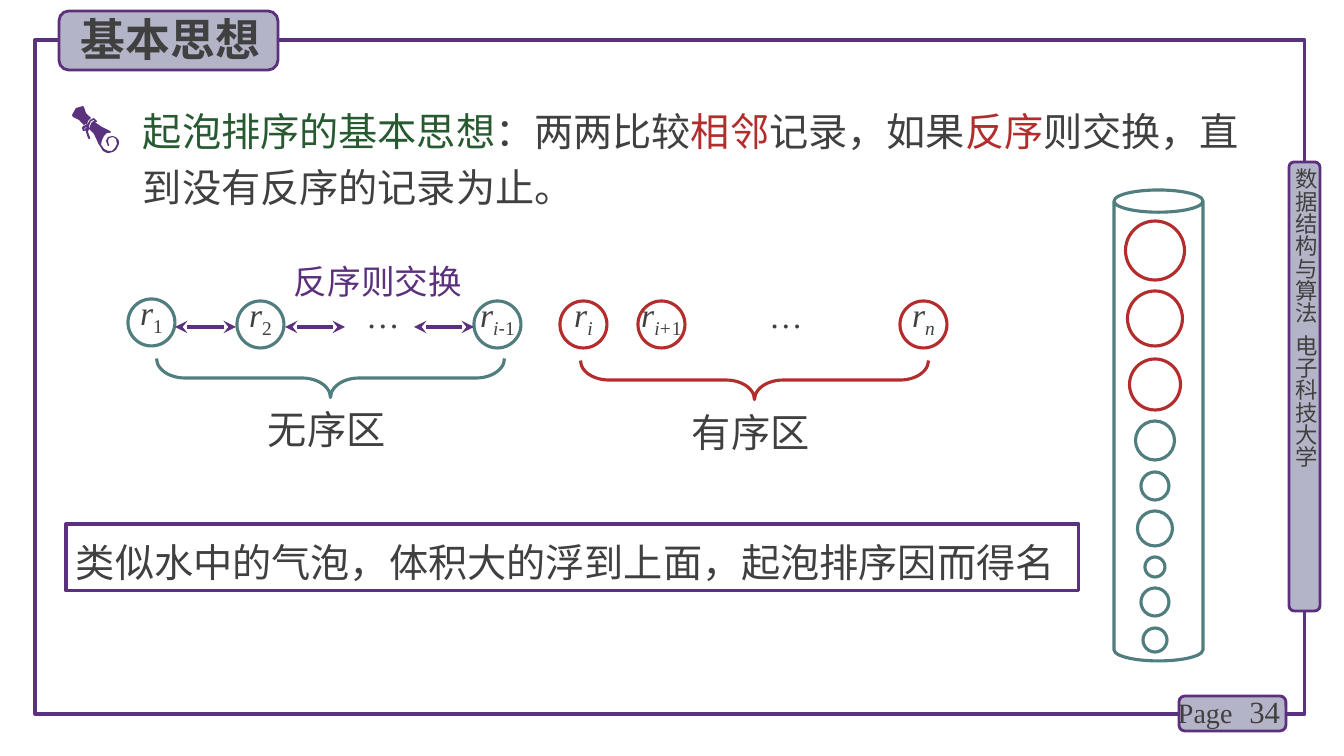
from lxml.etree import SubElement
from pptx import Presentation
from pptx.dml.color import RGBColor
from pptx.enum.shapes import MSO_CONNECTOR, MSO_SHAPE
from pptx.enum.text import MSO_ANCHOR, PP_ALIGN
from pptx.oxml.ns import qn
from pptx.util import Pt

# Content: a run is (text, options)
PURPLE, VIOLET, TEAL, RED = "5C307D", "5A327D", "507D7D", "B42D2D"
GREEN, INK, LILAC = "285A32", "404040", "B4B4C8"
SANS, SERIF = "Noto Sans CJK SC", "Times New Roman"
ITALIC, SUB = {"italic": True}, {"sub": True}
ITALIC_SUB, TIGHT = {**ITALIC, **SUB}, {**ITALIC, "spacing": -70}

LEAD = [("起泡排序的基本思想", {"color": GREEN}), ("：两两比较", {"color": INK}),
        ("相邻", {"color": RED}), ("记录，如果", {"color": INK}),
        ("反序", {"color": RED}), ("则交换，直到没有反序的记录为止。", {"color": INK})]
COURSE = [("数据结构与算法", {}), (" ", {"spacing": 360}), ("电子科技大学", {})]
BANNER = "类似水中的气泡，体积大的浮到上面，起泡排序因而得名"

# Left, top, colour, side inset, runs
RECORDS = [
    (128, 299, TEAL, 10, [("r", ITALIC), ("1", SUB)]),
    (237, 301, TEAL, 10, [("r", ITALIC), ("2", SUB)]),
    (474, 301, TEAL, 0, [("r", TIGHT), ("i", {**TIGHT, **SUB}),
                         ("-", {"sub": True, "name": "Arial", "spacing": -70}),
                         ("1", {"sub": True, "spacing": -70})]),
    (560, 301, RED, 10, [("r", ITALIC), ("i", ITALIC_SUB)]),
    (638, 301, RED, 10, [("r", TIGHT), ("i+", {**TIGHT, **SUB}),
                         ("1", {"sub": True, "spacing": -70})]),
    (900, 301, RED, 10, [("r", ITALIC), ("n", ITALIC_SUB)]),
]
RECORD_SIZE = 47
# Brace left and top, label left and top, dots left
ZONES = [("无序区", TEAL, 311, 204, 258, 400, 332), ("有序区", RED, 735, 206, 682, 403, 735)]
SWAPS, SWAP_Y = [(175, 236), (285, 345), (414, 474)], 327
# Top, diameter
BUBBLES = [(221, 59, RED), (291, 55, RED), (359, 51, RED), (421, 39, TEAL), (472, 28, TEAL),
           (511, 35, TEAL), (557, 20, TEAL), (588, 28, TEAL), (628, 24, TEAL)]
TUBE_AXIS = 1155
SCROLL = [  # each part: outline, then any hole
    [[(86, 124), (87, 125), (88, 121), (91, 118), (86, 113), (84, 107), (83, 106), (76, 108),
      (72, 115), (73, 117), (79, 120), (84, 125)]],
    [[(117, 138), (113, 136), (108, 137), (106, 141), (108, 146), (109, 146), (109, 145),
      (108, 141), (109, 138), (113, 137), (116, 139), (117, 144), (115, 148), (112, 151),
      (108, 151), (104, 149), (102, 146), (101, 145), (102, 140), (104, 136), (107, 133),
      (110, 133), (111, 132), (110, 131), (102, 127), (96, 123), (94, 121), (92, 122),
      (90, 126), (89, 129), (94, 134), (99, 145), (100, 146), (103, 151), (107, 153),
      (109, 153), (113, 152), (116, 150), (119, 144), (119, 141)]],
    [[(89, 139), (88, 138), (86, 132), (86, 130), (85, 131), (83, 131), (82, 128), (83, 126),
      (86, 125), (87, 125), (90, 120), (94, 118), (97, 121), (97, 122), (95, 122), (94, 120),
      (91, 121), (89, 126), (89, 129), (88, 132), (90, 137), (90, 139)],
     [(86, 127), (84, 129), (84, 130), (85, 129), (87, 127)]],
]

PX = 914400 / 100.8
prs = Presentation()
prs.slide_width, prs.slide_height = round(1344 * PX), round(756 * PX)
slide = prs.slides.add_slide(prs.slide_layouts[6])


def px(*lengths):
    return [round(length * PX) for length in lengths]


def rgb(color):
    return RGBColor.from_string(color)


def set_font(font, name=None, size=None, color=None, bold=None, italic=None, sub=False,
             spacing=None):
    if size:
        font.size = Pt(size)
    if color:
        font.color.rgb = rgb(color)
    font.bold, font.italic = bold, italic
    if name:
        font.name = name
        SubElement(font._rPr, qn("a:ea"), typeface=name)
    if sub:
        font._rPr.set("baseline", "-25000")
    if spacing:
        font._rPr.set("spc", str(spacing))


def write(shape, runs, name, size, color=INK, bold=None, align=PP_ALIGN.LEFT, leading=None,
          inset=(10, 5), anchor=MSO_ANCHOR.TOP, wrap=True, vertical=False):
    frame = shape.text_frame
    frame.word_wrap, frame.vertical_anchor = wrap, anchor
    frame.margin_left, frame.margin_top = px(*inset)
    frame.margin_right, frame.margin_bottom = px(*inset)
    if vertical:
        frame._txBody.bodyPr.set("vert", "eaVert")
    paragraph = frame.paragraphs[0]
    paragraph.alignment = align
    if leading:
        paragraph.line_spacing = Pt(leading)
    set_font(paragraph.font, name, size, color, bold)
    for text, options in [(runs, {})] if isinstance(runs, str) else runs:
        run = paragraph.add_run()
        run.text = text
        set_font(run.font, **options)


def label(box, runs, name, size, **options):
    write(slide.shapes.add_textbox(*px(*box)), runs, name, size, **options)


def outline(kind, box, line, width=2.25, fill=None):
    shape = slide.shapes.add_shape(kind, *px(*box))
    shape.shadow.inherit = False
    shape.line.color.rgb, shape.line.width = rgb(line), Pt(width)
    if fill:
        shape.fill.solid()
        shape.fill.fore_color.rgb = rgb(fill)
    else:
        shape.fill.background()
    return shape


# Page frame, tabs and title
outline(MSO_SHAPE.RECTANGLE, (35, 40, 1270, 674), VIOLET)
for tab in [(1289, 162, 31, 449), (1179, 696, 107, 35), (59, 11, 219, 59)]:
    outline(MSO_SHAPE.ROUNDED_RECTANGLE, tab, PURPLE, 2, LILAC)
label((1292, 168, 27, 453), COURSE, SANS, 16, inset=(0, 0), vertical=True)
label((1197, 691, 93, 40), "34", SERIF, 22, align=PP_ALIGN.RIGHT, anchor=MSO_ANCHOR.MIDDLE)
label((1168, 690, 129, 44), "Page", SERIF, 20)
label((71, 7, 212, 65), "基本思想", SANS, 32, bold=True)

# Zones: brace, name and dots
for zone, color, left, top, name_left, name_top, dots_left in ZONES:
    brace = outline(MSO_SHAPE.LEFT_BRACE, (left, top, 39, 348), color)
    brace.rotation = 270
    brace.adjustments[0] = 0.73
    label((name_left, name_top, 219, 57), zone, SANS, 28)
    label((dots_left, 299, 102, 41), "…", SERIF, 24, align=PP_ALIGN.CENTER, leading=22)

# Records
for left, top, color, inset, runs in RECORDS:
    record = outline(MSO_SHAPE.OVAL, (left, top, RECORD_SIZE, RECORD_SIZE), color)
    write(record, runs, SERIF, 24, align=PP_ALIGN.CENTER, leading=22, inset=(inset, 0),
          anchor=MSO_ANCHOR.MIDDLE, wrap=False)

# Lead sentence with its scroll
label((133, 93, 1142, 123), LEAD, SANS, 28, color=None, leading=40)
for contours in SCROLL:
    builder = slide.shapes.build_freeform(*contours[0][0], scale=PX)
    builder.add_line_segments(contours[0][1:])
    for hole in contours[1:]:
        builder.move_to(*hole[0])
        builder.add_line_segments(hole[1:])
    part = builder.convert_to_shape()
    part.shadow.inherit = False
    part.fill.solid()
    part.fill.fore_color.rgb = rgb(VIOLET)
    part.line.fill.background()

# Swap arrows
for start, end in SWAPS:
    swap = slide.shapes.add_connector(MSO_CONNECTOR.STRAIGHT, *px(start, SWAP_Y, end, SWAP_Y))
    swap.line.color.rgb, swap.line.width = rgb(PURPLE), Pt(3)
    for tip in ("a:headEnd", "a:tailEnd"):
        SubElement(swap.line._get_or_add_ln(), qn(tip), type="stealth")
    SubElement(swap._element.spPr, qn("a:effectLst"))
label((294, 261, 192, 42), "反序则交换", SANS, 24, color=PURPLE, align=PP_ALIGN.JUSTIFY,
      inset=(0, 0))

# Tube of bubbles
outline(MSO_SHAPE.CAN, (1114, 190, 89, 471), TEAL)
for top, size, color in BUBBLES:
    outline(MSO_SHAPE.OVAL, (TUBE_AXIS - size / 2, top, size, size), color)

# Banner
banner = outline(MSO_SHAPE.RECTANGLE, (66, 524, 1013, 67), PURPLE)
write(banner, BANNER, SANS, 28, leading=40)

prs.save("out.pptx")
